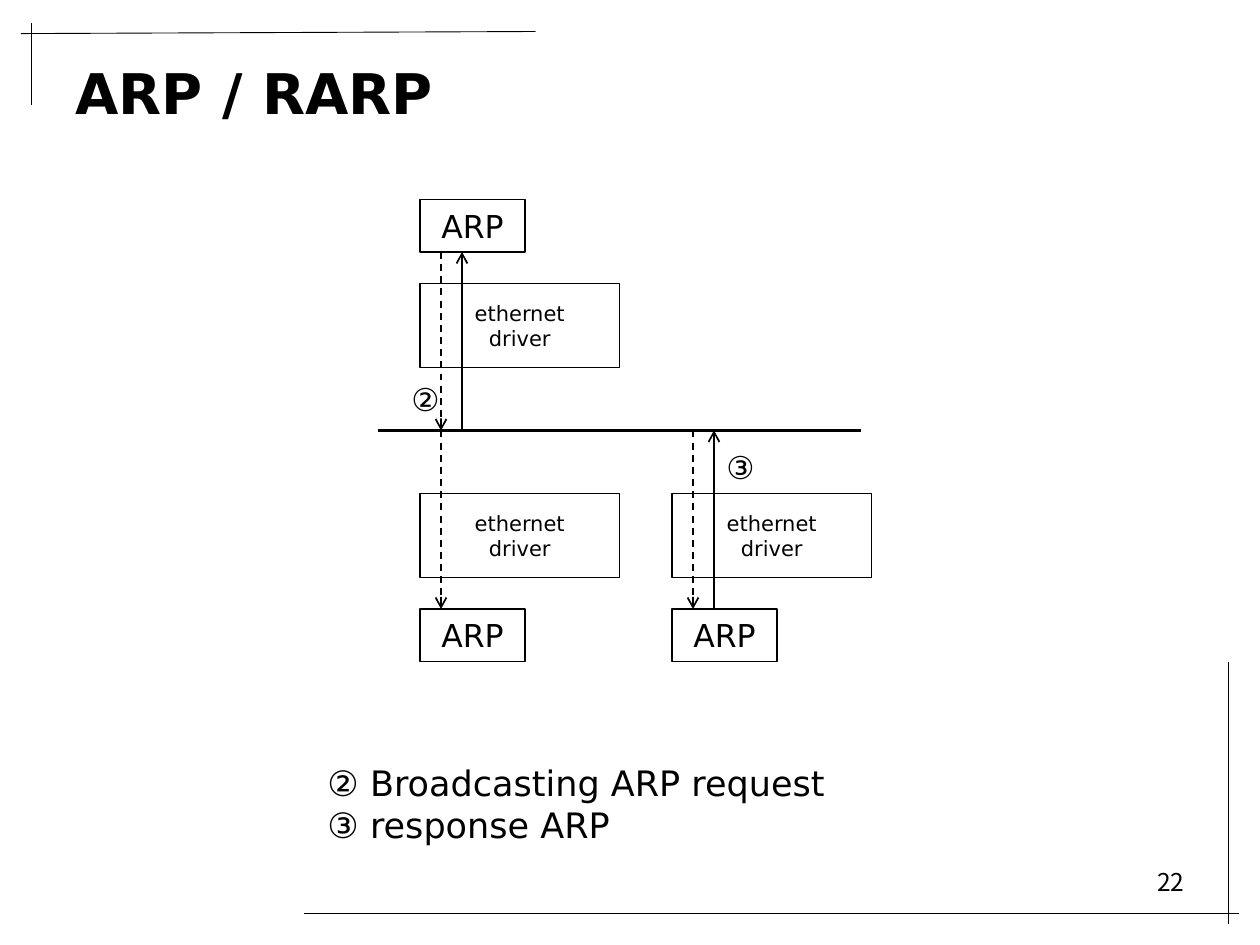
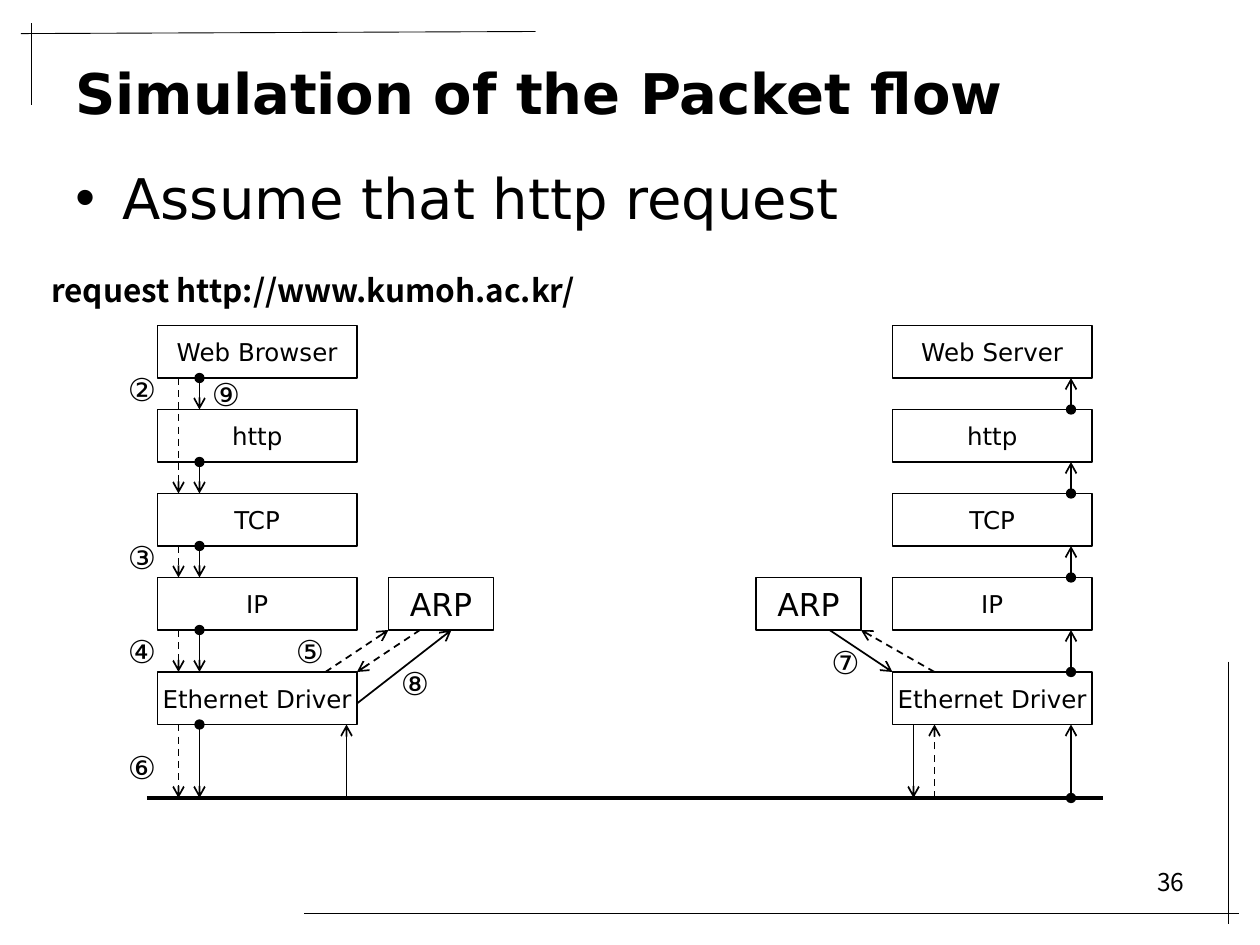
from lxml import etree
from pptx import Presentation
from pptx.dml.color import RGBColor
from pptx.enum.dml import MSO_LINE
from pptx.enum.shapes import MSO_CONNECTOR, MSO_SHAPE
from pptx.enum.text import MSO_ANCHOR, PP_ALIGN
from pptx.oxml.ns import qn
from pptx.util import Cm, Pt

RECTANGLE = MSO_SHAPE.RECTANGLE
STRAIGHT = MSO_CONNECTOR.STRAIGHT
DASH = MSO_LINE.DASH
TOP, MIDDLE = MSO_ANCHOR.TOP, MSO_ANCHOR.MIDDLE
LEFT, CENTER, RIGHT = PP_ALIGN.LEFT, PP_ALIGN.CENTER, PP_ALIGN.RIGHT

# Shared style
INK, PAPER = "000000", "FFFFFF"
SANS, KOREAN, SYMBOL = "DejaVu Sans", "Noto Sans CJK KR", "Arial"
FRAME_LINES = [(29, 87, 118, 87), (2, 3.2, 51, 3),
               (3, 2.2, 3, 10), (117, 63, 117, 88)]

# Both drawings sit on a grid of twelve steps to the inch
STEP_CM = 2.54 / 12
BLOCK_WIDTH, BLOCK_HEIGHT = 19, 5
ARP_WIDTH = 10


def grid(*steps):
    return [Cm(step * STEP_CM) for step in steps]


def color(value):
    return RGBColor.from_string(value)


# Text
def add_span(para, text, size, font=SANS, bold=False):
    span = para.add_run()
    span.text = text
    span.font.name = font
    span.font.size = Pt(size)
    span.font.bold = bold
    span.font.color.rgb = color(INK)


def fill_frame(frame, lines, size, align=LEFT, anchor=MIDDLE, wrap=True, bold=False):
    """Each line is a list of (text, font) spans."""
    frame.word_wrap = wrap
    frame.vertical_anchor = anchor
    for index, spans in enumerate(lines):
        para = frame.paragraphs[0] if index == 0 else frame.add_paragraph()
        para.alignment = align
        for text, font in spans:
            add_span(para, text, size, font, bold)


def add_text(page, area, lines, size, **style):
    box = page.shapes.add_textbox(*grid(*area))
    fill_frame(box.text_frame, lines, size, **style)
    return box


def add_bullet(para):
    properties = para._p.get_or_add_pPr()
    properties.set("marL", str(Cm(0.95)))
    properties.set("indent", str(-Cm(0.95)))
    etree.SubElement(properties, qn("a:buFont")).set("typeface", SYMBOL)
    etree.SubElement(properties, qn("a:buChar")).set("char", "•")


# Diagram parts
def add_block(page, area, lines, size):
    block = page.shapes.add_shape(RECTANGLE, *grid(*area))
    block.shadow.inherit = False
    block.fill.solid()
    block.fill.fore_color.rgb = color(PAPER)
    block.line.color.rgb = color(INK)
    block.line.width = Pt(0.75)
    fill_frame(block.text_frame, [[(line, SANS)] for line in lines], size,
               align=CENTER, wrap=False)


def add_arp(page, left, top):
    add_block(page, (left, top, ARP_WIDTH, BLOCK_HEIGHT), ["ARP"], 18)


def add_line(page, ends, width):
    line = page.shapes.add_connector(STRAIGHT, *grid(*ends))
    line.line.color.rgb = color(INK)
    line.line.width = Pt(width)
    etree.SubElement(line._element.spPr, qn("a:effectLst"))
    return line


def add_arrow(page, ends, dashed=False, dot=False):
    arrow = add_line(page, ends, 1)
    if dashed:
        arrow.line.dash_style = DASH
    outline = arrow.line._get_or_add_ln()
    if dot:
        etree.SubElement(outline, qn("a:headEnd")).set("type", "oval")
    etree.SubElement(outline, qn("a:tailEnd")).set("type", "arrow")


def add_step(page, mark, left, top, height=4):
    add_text(page, (left, top, 4, height), [[(mark, SYMBOL)]], 18,
             align=CENTER, wrap=False)


# Slides
def add_page(deck, title, number):
    page = deck.slides.add_slide(deck.slide_layouts[6])
    for ends in FRAME_LINES:
        add_line(page, ends, 0.5)
    add_text(page, (86, 82, 28, 6.2), [[(number, KOREAN)]], 14,
             align=RIGHT, anchor=TOP)
    add_text(page, (6, 4.6, 108, 8.4), [[(title, SANS)]], 32, bold=True)
    return page


def build_arp_page(deck):
    page = add_page(deck, "ARP / RARP", "22")
    wire = 41
    add_line(page, (36, wire, 82, wire), 2)

    # Hosts
    for left, arp_top, driver_top in [(40, 19, 27), (40, 58, 47), (64, 58, 47)]:
        add_arp(page, left, arp_top)
        add_block(page, (left, driver_top, BLOCK_WIDTH, 8),
                  ["ethernet", "driver"], 12)

    # Request and response
    for x, start, end in [(42, 24, wire), (42, wire, 58), (66, wire, 58)]:
        add_arrow(page, (x, start, x, end), dashed=True)
    for x, start, end in [(68, 58, wire), (44, wire, 24)]:
        add_arrow(page, (x, start, x, end))
    add_step(page, "②", 38, 36)
    add_step(page, "③", 68, 42, height=5)

    # Legend
    add_text(page, (30, 72, 64, 9),
             [[("②", SYMBOL), (" Broadcasting ARP request", SANS)],
              [("③", SYMBOL), (" response ARP", SANS)]], 20)


def build_packet_flow_page(deck):
    page = add_page(deck, "Simulation of the Packet flow", "36")
    topic = add_text(page, (6, 15, 108, 8), [], 32, anchor=TOP)
    para = topic.text_frame.paragraphs[0]
    add_bullet(para)
    add_span(para, "Assume that http request", 32)
    add_text(page, (3.7, 25.2, 53.3, 4.8),
             [[("request http://www.kumoh.ac.kr/", KOREAN)]], 18,
             anchor=TOP, bold=True)
    wire = 76
    add_line(page, (14, wire, 105, wire), 2)

    # Protocol stacks
    tops = [31, 39, 47, 55, 64]
    bottoms = [top + BLOCK_HEIGHT for top in tops]
    for left, application in [(15, "Web Browser"), (85, "Web Server")]:
        layers = [application, "http", "TCP", "IP", "Ethernet Driver"]
        for top, layer in zip(tops, layers):
            add_block(page, (left, top, BLOCK_WIDTH, BLOCK_HEIGHT), [layer], 14)
    for left in (37, 72):
        add_arp(page, left, tops[3])

    # Address lookup
    for ends in [(17, 36, 17, 47), (17, 52, 17, 55), (17, 60, 17, 64),
                 (31, 64, 37, 60), (40, 60, 34, 64), (17, 69, 17, wire),
                 (89, wire, 89, 69), (89, 64, 82, 60)]:
        add_arrow(page, ends, dashed=True)
    for ends in [(79, 60, 85, 64), (87, 69, 87, wire),
                 (33, wire, 33, 69), (34, 67, 43, 60)]:
        add_arrow(page, ends)

    # Packet down the client stack and up the server stack
    for bottom, next_top in zip(bottoms, tops[1:] + [wire]):
        add_arrow(page, (19, bottom, 19, next_top), dot=True)
        add_arrow(page, (102, next_top, 102, bottom), dot=True)

    # Step numbers
    for mark, left, top in [("②", 11, 35), ("③", 11, 51), ("④", 11, 60),
                            ("⑤", 27, 60), ("⑥", 11, 71), ("⑦", 78, 61),
                            ("⑧", 37, 63), ("⑨", 19, 35.5)]:
        add_step(page, mark, left, top)


def main():
    deck = Presentation()
    deck.slide_width, deck.slide_height = Cm(25.4), Cm(19.05)
    build_arp_page(deck)
    build_packet_flow_page(deck)
    deck.save("out.pptx")


if __name__ == "__main__":
    main()
